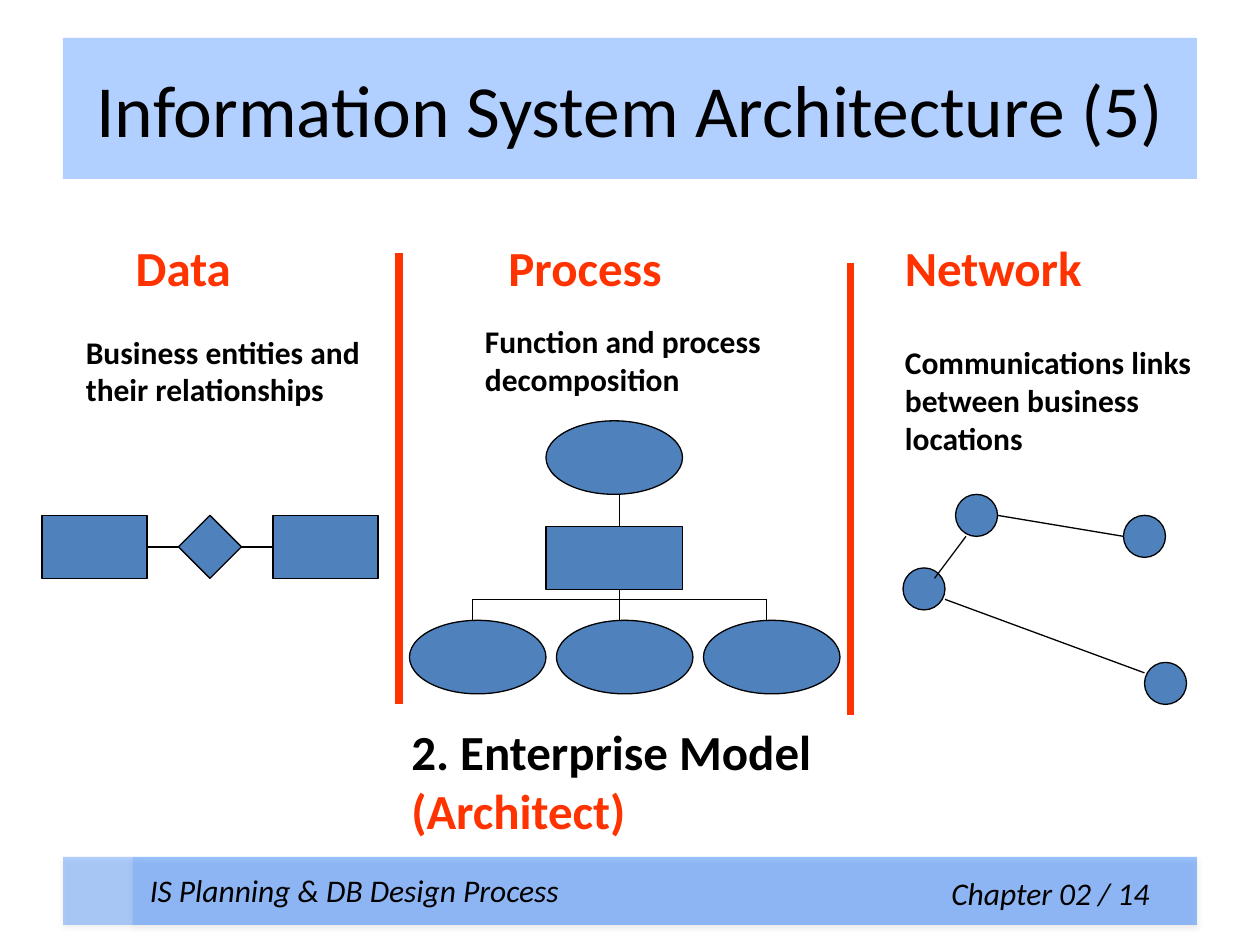
from itertools import pairwise

from lxml import etree
from pptx import Presentation
from pptx.dml.color import RGBColor
from pptx.enum import shapes, text
from pptx.oxml.ns import qn
from pptx.util import Pt

THEME = {
    "font": "Calibri", "black": "000000", "accent": "FF3300", "node": "4F81BD",
    "band": "0066FF", "shadow": "808080",
    "title": 42, "heading": 28, "body": 18, "thin": 0.75, "thick": 4.5,
}
SHAPE, ALIGN = shapes.MSO_SHAPE, text.PP_ALIGN

TITLE = "Information System Architecture (5)"
HEADINGS = [("Data", 70.5), ("Process", 283.5), ("Network", 510)]
HEADING_TOP, HEADING_WIDTH = 132, 130
CAPTIONS = [
    (["Business entities and", "their relationships"], 42, 186.5, 180),
    (["Function and process", "decomposition"], 270, 180.5, 184),
    (["Communications links", "between business", "locations"], 510, 192.5, 192),
]
MODEL = [("2. Enterprise Model", "black"), ("(Architect)", "accent")]
FOOTERS = [
    ("IS Planning & DB Design Process", 78.5, 494, 264, ALIGN.LEFT),
    ("Chapter 02 / 14", 378, 496, 286, ALIGN.RIGHT),
]
DIVIDERS = [(228, 144.5), (486, 150.5)]
DIVIDER_HEIGHT = 258
ENTITIES = [(SHAPE.RECTANGLE, 24, 60), (SHAPE.DIAMOND, 102, 36), (SHAPE.RECTANGLE, 156, 60)]
ENTITY_TOP, BOX_HEIGHT = 294.5, 36
PROCESS_W, PROCESS_H = 78, 42
PROCESS_LEFT, FUNCTION_TOP, PROCESS_TOP = 312, 240.5, 301
CHILD_LEFTS, CHILD_TOP = [234, 318, 402], 354.5
TRUNK_X, BUS_Y, BRANCH_STEP = 354, 342.5, 84
SITES = [(642, 294.5), (546, 282.5), (516, 324.5), (654, 378.5)]
SITE_SIZE = 24
LINKS = [
    (570, 294.5, 642, 306.5),
    (552, 306.5, 534, 330.5),
    (540, 342.5, 654, 384.5),
]


def color(name):
    return RGBColor.from_string(THEME[name])


def add_shape(slide, kind, x, y, w, h, fill):
    sp = slide.shapes.add_shape(kind, Pt(x), Pt(y), Pt(w), Pt(h))
    sp.shadow.inherit = False
    sp.fill.solid()
    sp.fill.fore_color.rgb = color(fill)
    return sp


def add_node(slide, kind, x, y, w, h):
    sp = add_shape(slide, kind, x, y, w, h, "node")
    sp.line.color.rgb = color("black")
    sp.line.width = Pt(THEME["thin"])


def set_alpha(clr, percent):
    etree.SubElement(clr, qn("a:alpha")).set("val", str(percent * 1000))


def add_band(slide, x, y, w, h, opacity, shadow=False):
    sp = add_shape(slide, SHAPE.RECTANGLE, x, y, w, h, "band")
    sp.line.fill.background()
    pr = sp.element.spPr
    set_alpha(pr.find(qn("a:solidFill")).find(qn("a:srgbClr")), opacity)
    if shadow:
        shade = etree.SubElement(
            pr.find(qn("a:effectLst")), qn("a:outerShdw"),
            blurRad=str(Pt(3.1)), dist=str(Pt(1.6)), dir="5400000", rotWithShape="0")
        clr = etree.SubElement(shade, qn("a:srgbClr"), val=THEME["shadow"])
        set_alpha(clr, 38)
    return sp


def add_line(slide, x1, y1, x2, y2, ink="black", weight="thin"):
    line = slide.shapes.add_connector(
        shapes.MSO_CONNECTOR.STRAIGHT, Pt(x1), Pt(y1), Pt(x2), Pt(y2))
    line.line.color.rgb = color(ink)
    line.line.width = Pt(THEME[weight])
    etree.SubElement(line.element.spPr, qn("a:effectLst"))


def write(tf, lines, size, align=ALIGN.LEFT, bold=False, italic=False):
    for i, (words, ink) in enumerate(lines):
        p = tf.add_paragraph() if i else tf.paragraphs[0]
        p.text, p.alignment = words, align
        font = p.font
        font.name, font.size = THEME["font"], Pt(THEME[size])
        font.bold, font.italic = bold, italic
        font.color.rgb = color(ink)


def add_text(slide, x, y, w, lines, size, **style):
    height = len(lines) * THEME[size] * 1.2 + 7.2
    tf = slide.shapes.add_textbox(Pt(x), Pt(y), Pt(w), Pt(height)).text_frame
    tf.word_wrap = True
    write(tf, lines, size, **style)


def draw_frame(slide):
    add_band(slide, 75.6, 489.6, 608.4, 38.9, 40, shadow=True)
    title = add_band(slide, 36, 21.6, 648, 80.6, 30)
    title.text_frame.word_wrap = True
    title.text_frame.vertical_anchor = text.MSO_ANCHOR.MIDDLE
    write(title.text_frame, [(TITLE, "black")], "title", ALIGN.CENTER)
    add_band(slide, 36, 489.6, 39.6, 38.9, 30, shadow=True)
    for words, x, y, w, align in FOOTERS:
        add_text(slide, x, y, w, [(words, "black")], "body", align=align, italic=True)


def draw_labels(slide):
    for words, x in HEADINGS:
        add_text(slide, x, HEADING_TOP, HEADING_WIDTH, [(words, "accent")], "heading", bold=True)
    for lines, x, y, w in CAPTIONS:
        add_text(slide, x, y, w, [(words, "black") for words in lines], "body", bold=True)
    add_text(slide, 228, 409, 258, MODEL, "heading", bold=True)
    for x, y in DIVIDERS:
        add_line(slide, x, y, x, y + DIVIDER_HEIGHT, "accent", "thick")


def draw_data(slide):
    for kind, x, w in ENTITIES:
        add_node(slide, kind, x, ENTITY_TOP, w, BOX_HEIGHT)
    middle = ENTITY_TOP + BOX_HEIGHT / 2
    for (_, x, w), (_, following, _) in pairwise(ENTITIES):
        add_line(slide, x + w, middle, following, middle)


def draw_process(slide):
    ellipses = [(PROCESS_LEFT, FUNCTION_TOP)] + [(x, CHILD_TOP) for x in CHILD_LEFTS]
    for x, y in ellipses:
        add_node(slide, SHAPE.OVAL, x, y, PROCESS_W, PROCESS_H)
    add_node(slide, SHAPE.RECTANGLE, PROCESS_LEFT, PROCESS_TOP, PROCESS_W, BOX_HEIGHT)
    add_line(slide, TRUNK_X, FUNCTION_TOP + PROCESS_H, TRUNK_X, PROCESS_TOP)
    add_line(slide, TRUNK_X, PROCESS_TOP + BOX_HEIGHT, TRUNK_X, BUS_Y)
    add_line(slide, TRUNK_X - BRANCH_STEP, BUS_Y, TRUNK_X + BRANCH_STEP, BUS_Y)
    for side in (-1, 0, 1):
        x = TRUNK_X + side * BRANCH_STEP
        add_line(slide, x, BUS_Y, x, CHILD_TOP)


def draw_network(slide):
    for x, y in SITES:
        add_node(slide, SHAPE.OVAL, x, y, SITE_SIZE, SITE_SIZE)
    for link in LINKS:
        add_line(slide, *link)


def main():
    """Build the information system architecture slide."""
    prs = Presentation()
    prs.slide_width, prs.slide_height = Pt(720), Pt(540)
    slide = prs.slides.add_slide(prs.slide_layouts[6])
    for draw in (draw_frame, draw_labels, draw_data, draw_process, draw_network):
        draw(slide)
    prs.save("out.pptx")


if __name__ == "__main__":
    main()
